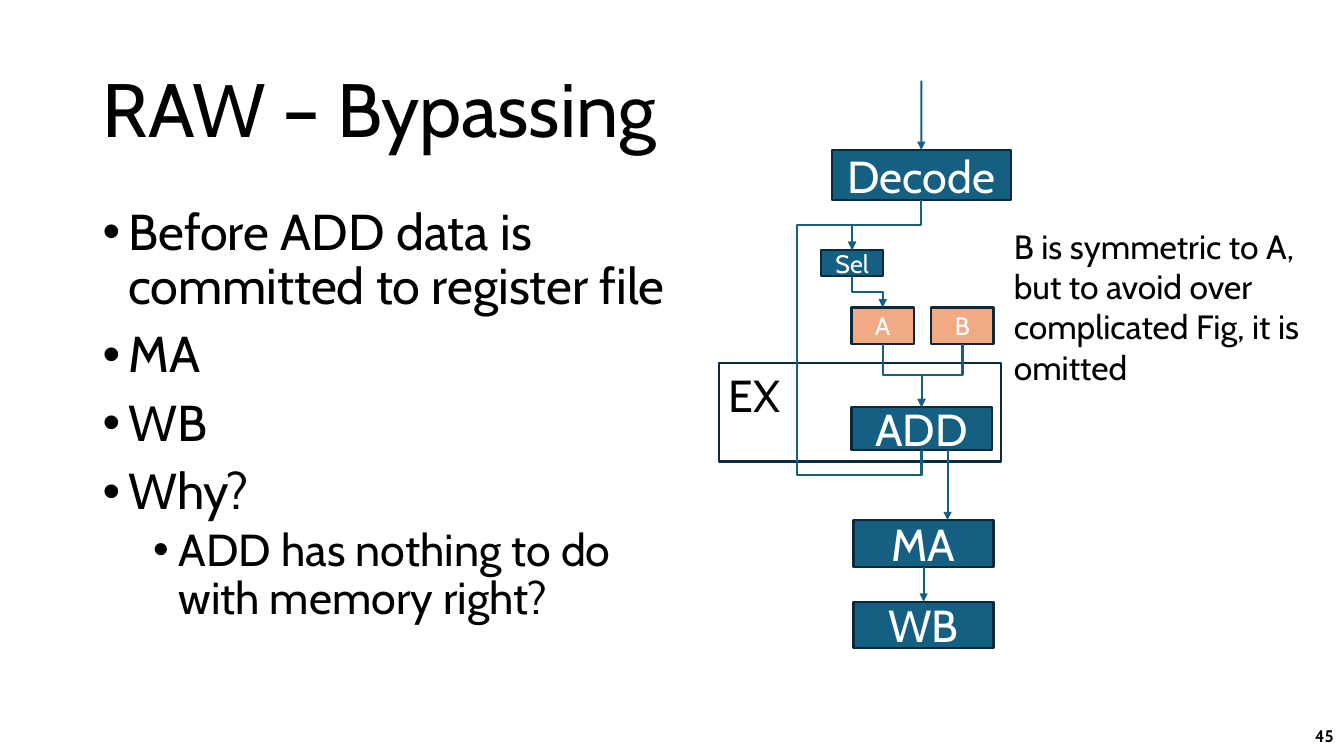
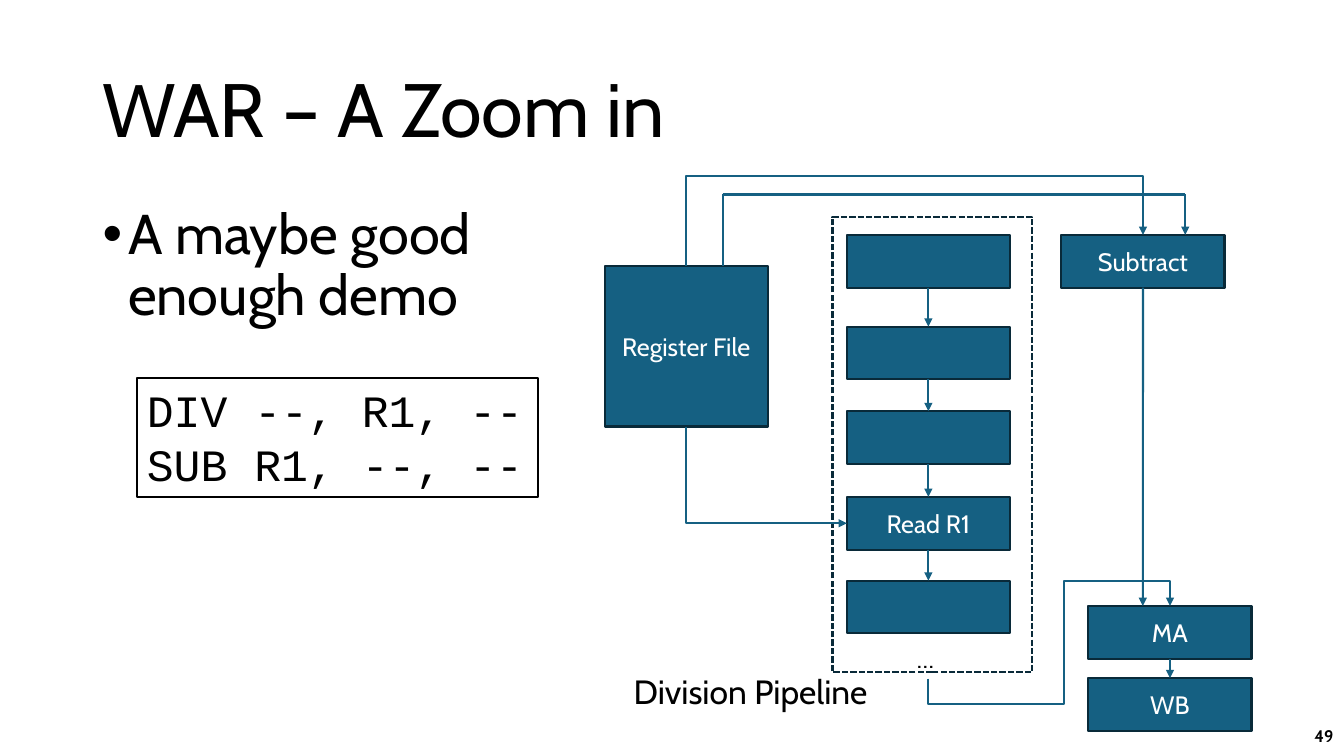
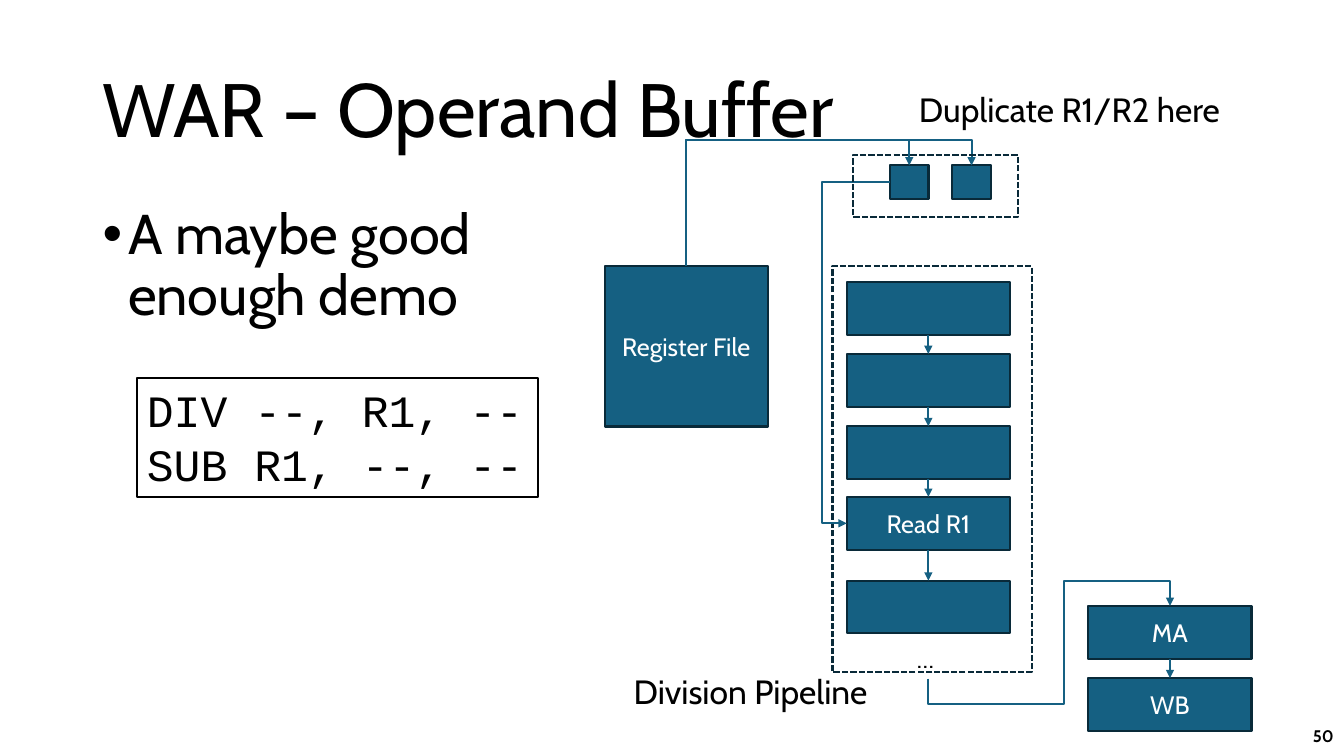
from itertools import pairwise

from lxml import etree
from pptx import Presentation
from pptx import util as u
from pptx.dml.color import RGBColor
from pptx.enum import dml, shapes, text
from pptx.oxml.ns import qn


class Theme:
    font = "Cabin"
    code_font = "Courier New"
    ink = RGBColor.from_string("000000")
    paper = RGBColor.from_string("FFFFFF")
    block = RGBColor.from_string("156082")
    block_edge = RGBColor.from_string("092A39")
    operand = RGBColor.from_string("F2AA84")
    title_size = 54
    stage_size = 32
    note_size = 24
    label_size = 18
    number_size = 12
    line_width = u.Pt(1.5)


TOP, LEFT, BOTTOM = 0, 1, 2  # connection sites of a rectangle

# (leaves vertically, goes right, goes down): rotation, flipH, flipV
ELBOW_TURNS = {
    (True, False, True): (90, 0, 0),
    (True, True, True): (270, 1, 0),
    (True, True, False): (90, 1, 1),
    (True, False, False): (90, 1, 0),
    (False, False, True): (180, 0, 1),
}


def add_box(slide, at, lines=(), size=Theme.label_size, color=Theme.paper,
            fill=Theme.block, edge=Theme.block_edge, dashed=False, font=Theme.font,
            bold=False, align=text.PP_ALIGN.CENTER, anchor=text.MSO_ANCHOR.MIDDLE,
            wrap=True, grow=False):
    """Add a rectangle, or a plain text box when edge is None."""
    place = [u.Cm(length) for length in at]
    if edge is None:
        shape = slide.shapes.add_textbox(*place)
    else:
        shape = slide.shapes.add_shape(shapes.MSO_SHAPE.RECTANGLE, *place)
        shape.shadow.inherit = False
        shape.line.color.rgb = edge
        shape.line.width = Theme.line_width
        if dashed:
            shape.line.dash_style = dml.MSO_LINE.SQUARE_DOT
        if fill is None:
            shape.fill.background()
        else:
            shape.fill.solid()
            shape.fill.fore_color.rgb = fill
    frame = shape.text_frame
    frame.word_wrap = wrap
    frame.vertical_anchor = anchor
    if grow:
        frame.auto_size = text.MSO_AUTO_SIZE.SHAPE_TO_FIT_TEXT
    for index, line in enumerate(lines):
        paragraph = frame.add_paragraph() if index else frame.paragraphs[0]
        paragraph.alignment = align
        run = paragraph.add_run()
        run.text = line
        run.font.name = font
        run.font.size = u.Pt(size)
        run.font.bold = bold
        run.font.color.rgb = color
    return shape


def add_arrow(slide, start, end, bends=None, head=True):
    """Join two ends, each (shape, site) or (x, y) in cm.

    bends holds the elbow positions as fractions of the span; None is straight.
    """
    connector = slide.shapes.add_connector(shapes.MSO_CONNECTOR.STRAIGHT, 0, 0, 0, 0)
    if isinstance(start[0], (int, float)):
        connector.begin_x, connector.begin_y = map(u.Cm, start)
    else:
        connector.begin_connect(*start)
    if isinstance(end[0], (int, float)):
        connector.end_x, connector.end_y = map(u.Cm, end)
    else:
        connector.end_connect(*end)
    properties = connector._element.spPr

    if bends is not None:
        x1, y1 = connector.begin_x, connector.begin_y
        x2, y2 = connector.end_x, connector.end_y
        vertical = start[1] in (TOP, BOTTOM)
        rotation, flip_h, flip_v = ELBOW_TURNS[vertical, x2 > x1, y2 > y1]
        width, height = abs(x2 - x1), abs(y2 - y1)
        if vertical:
            width, height = height, width
        connector.left, connector.top = (x1 + x2 - width) // 2, (y1 + y2 - height) // 2
        connector.width, connector.height = width, height
        transform = properties.find(qn("a:xfrm"))
        transform.set("rot", str(rotation * 60000))
        transform.set("flipH", str(flip_h))
        transform.set("flipV", str(flip_v))
        geometry = properties.find(qn("a:prstGeom"))
        geometry.set("prst", f"bentConnector{len(bends) + 2}")
        for number, bend in enumerate(bends, 1):
            etree.SubElement(geometry.find(qn("a:avLst")), qn("a:gd"),
                             name=f"adj{number}", fmla=f"val {round(bend * 100000)}")

    connector.line.color.rgb = Theme.block
    connector.line.width = Theme.line_width
    if head:
        etree.SubElement(connector.line._get_or_add_ln(), qn("a:tailEnd"), type="triangle")
    etree.SubElement(properties, qn("a:effectLst"))


note = dict(size=Theme.note_size, color=Theme.ink, edge=None, grow=True,
            align=text.PP_ALIGN.LEFT, anchor=text.MSO_ANCHOR.TOP)

presentation = Presentation()
presentation.slide_width, presentation.slide_height = u.Cm(33.87), u.Cm(19.05)

# Title, bullets and number of every slide; a bullet is (level, size, text)
demo_bullets = [(0, 40, "A maybe good enough demo")]
pages = [
    ("RAW – Bypassing", "45", 15.04, [
        (0, 36, "Before ADD data is committed to register file"),
        (0, 36, "MA"),
        (0, 36, "WB"),
        (0, 36, "Why?"),
        (1, 32, "ADD has nothing to do with memory right?"),
    ]),
    ("WAR – A Zoom in", "49", 12.9, demo_bullets),
    ("WAR – Operand Buffer", "50", 12.9, demo_bullets),
]
slides = []
for title, number, body_width, bullets in pages:
    slide = presentation.slides.add_slide(presentation.slide_layouts[6])
    slides.append(slide)
    heading = add_box(slide, (2.34, 1.02, 29.21, 3.68), [title], Theme.title_size,
                      Theme.ink, edge=None, align=text.PP_ALIGN.LEFT)
    heading.text_frame.paragraphs[0].line_spacing = 0.9
    add_box(slide, (26.24, 18.03, 7.62, 1.02), [number], Theme.number_size, Theme.ink,
            edge=None, bold=True, align=text.PP_ALIGN.RIGHT)
    body = add_box(slide, (2.34, 5.08, body_width, 12.09), [], edge=None,
                   anchor=text.MSO_ANCHOR.TOP)
    for index, (level, size, words) in enumerate(bullets):
        frame = body.text_frame
        paragraph = frame.add_paragraph() if index else frame.paragraphs[0]
        settings = paragraph._p.get_or_add_pPr()
        settings.set("marL", str(u.Cm(0.64 + 1.27 * level)))
        settings.set("indent", str(-u.Cm(0.64)))
        etree.SubElement(settings, qn("a:buFont"), typeface="Arial")
        etree.SubElement(settings, qn("a:buChar"), char="•")
        paragraph.level = level
        paragraph.line_spacing = 0.9
        if index:
            paragraph.space_before = u.Pt(5 if level else 10)
        run = paragraph.add_run()
        run.text = words
        run.font.name = Theme.font
        run.font.size = u.Pt(size)
        run.font.color.rgb = Theme.ink

bypass_slide, zoom_slide, buffer_slide = slides

# Bypassing: the result of ADD returns to the operand selector
stage = Theme.stage_size
add = add_box(bypass_slide, (21.46, 10.26, 3.53, 1.07), ["ADD"], stage)
add_box(bypass_slide, (18.11, 9.14, 7.11, 2.49), ["EX"], stage, Theme.ink, fill=None,
        align=text.PP_ALIGN.LEFT, anchor=text.MSO_ANCHOR.TOP)
decode = add_box(bypass_slide, (20.96, 3.78, 4.52, 1.27), ["Decode"], stage)
selector = add_box(bypass_slide, (20.7, 6.3, 1.55, 0.66), ["Sel"])
operand_a, operand_b = [
    add_box(bypass_slide, (left, 7.75, 1.57, 0.91), [name], fill=Theme.operand)
    for left, name in ((21.46, "A"), (23.47, "B"))
]
memory, write_back = [
    add_box(bypass_slide, (21.51, top, 3.53, 1.17), [name], stage)
    for top, name in ((13.11, "MA"), (15.16, "WB"))
]
add_box(bypass_slide, (25.3, 5.56, 8.15, 4.37),
        ["B is symmetric to A, but to avoid over complicated Fig, it is omitted"], **note)
for start, end, bends in [
    ((23.22, 2.03), (decode, TOP), None),
    ((decode, BOTTOM), (selector, TOP), (0.5,)),
    ((add, BOTTOM), (selector, TOP), (-0.126, 1.795, 1.126)),
    ((selector, BOTTOM), (operand_a, TOP), (0.5,)),
    ((operand_a, BOTTOM), (add, TOP), (0.5,)),
    ((operand_b, BOTTOM), (add, TOP), (0.5,)),
    ((23.88, 11.33), (23.88, 13.11), None),
    ((memory, BOTTOM), (write_back, TOP), None),
]:
    add_arrow(bypass_slide, start, end, bends)

# Division pipeline, shared by both WAR slides
unit_size = (4.11, 1.33)
pipeline_bottom = 16.94
pipelines = []
for slide, pipeline_top, stage_tops in [
    (zoom_slide, 5.46, (5.92, 8.23, 10.36, 12.52, 14.63)),
    (buffer_slide, 6.71, (7.11, 8.92, 10.74, 12.52, 14.63)),
]:
    add_box(slide, (3.45, 9.53, 10.11, 3), ["DIV --, R1, --", "SUB R1, --, --"],
            **{**note, "size": Theme.stage_size, "edge": Theme.ink},
            fill=Theme.paper, font=Theme.code_font)
    register_file = add_box(slide, (15.24, 6.71, 4.11, 4.04), ["Register File"])
    stages = [
        add_box(slide, (21.34, top, *unit_size), ["Read R1"] if index == 3 else [])
        for index, top in enumerate(stage_tops)
    ]
    add_box(slide, (20.98, pipeline_top, 5.03, pipeline_bottom - pipeline_top),
            fill=None, dashed=True)
    more = add_box(slide, (22.86, 16.08, 1.07, 1.02), ["…"], wrap=False,
                   **{**note, "size": Theme.label_size})
    memory, write_back = [
        add_box(slide, (27.43, top, *unit_size), [name])
        for top, name in ((15.27, "MA"), (17.09, "WB"))
    ]
    add_box(slide, (15.72, 16.79, 6.6, 1.27), ["Division Pipeline"], wrap=False, **note)
    for upper, lower in [*pairwise(stages), (memory, write_back)]:
        add_arrow(slide, (upper, BOTTOM), (lower, TOP))
    add_arrow(slide, (more, BOTTOM), (memory, TOP), (-0.349, 0.56, 1.349))
    pipelines.append((register_file, stages[3]))

# Zoom in: both units read the register file directly
register_file, read_stage = pipelines[0]
subtract = add_box(zoom_slide, (26.75, 5.92, *unit_size), ["Subtract"])
add_arrow(zoom_slide, (register_file, BOTTOM), (read_stage, LEFT), ())
add_arrow(zoom_slide, (register_file, TOP), (subtract, TOP), (2.879,))
add_arrow(zoom_slide, (subtract, BOTTOM), (28.8, 15.27))
second_operand = [(18.21, 6.71), (18.21, 4.9), (29.87, 4.9), (29.87, 5.92)]
for start, end in pairwise(second_operand):
    add_arrow(zoom_slide, start, end, head=end == second_operand[-1])

# Operand buffer: copies of the registers feed the pipeline
register_file, read_stage = pipelines[1]
buffers = [add_box(buffer_slide, (left, 4.17, 0.97, 0.84)) for left in (22.43, 24)]
for operand_buffer in buffers:
    add_arrow(buffer_slide, (register_file, TOP), (operand_buffer, TOP), (1.25,))
add_arrow(buffer_slide, (buffers[0], LEFT), (read_stage, LEFT), (1.583,))
add_box(buffer_slide, (21.49, 3.91, 4.17, 1.55), fill=None, dashed=True)
add_box(buffer_slide, (22.91, 2.11, 8.33, 1.27), ["Duplicate R1/R2 here"],
        wrap=False, **note)

presentation.save("out.pptx")
